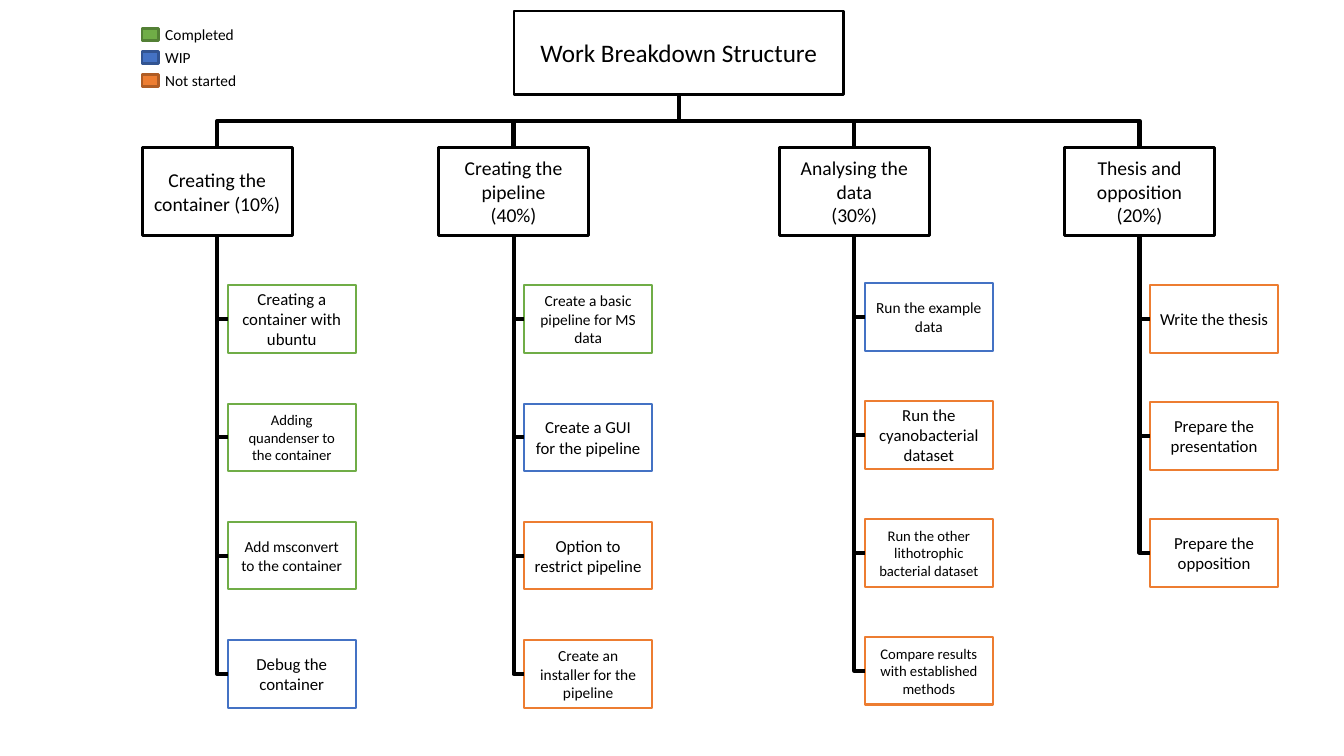
import pptx
import pptx.dml.color
import pptx.enum.shapes
import pptx.enum.text
import pptx.oxml
import pptx.util

GREEN, BLUE, ORANGE = "70AD47", "4472C4", "ED7D31"
BLACK, WHITE = "000000", "FFFFFF"

LEGEND = [("Completed", GREEN, "538035"), ("WIP", BLUE, "325491"), ("Not started", ORANGE, "AF5C24")]

STAGES = [
    ("Creating the container (10%)", 14.1, 28.3, 11.74, [
        ("Creating a container with ubuntu", GREEN, 12),
        ("Adding quandenser to the container", GREEN, 10.5),
        ("Add msconvert to the container", GREEN, 11),
        ("Debug the container", BLUE, 12)]),
    ("Creating the pipeline\n(40%)", 43.5, 28.3, 11.74, [
        ("Create a basic pipeline for MS data", GREEN, 11),
        ("Create a GUI for the pipeline", BLUE, 12),
        ("Option to restrict pipeline", ORANGE, 12),
        ("Create an installer for the pipeline", ORANGE, 11)]),
    ("Analysing the data\n(30%)", 77.3, 28.1, 11.7, [
        ("Run the example data", BLUE, 11),
        ("Run the cyanobacterial dataset", ORANGE, 12),
        ("Run the other lithotrophic bacterial dataset", ORANGE, 10.5),
        ("Compare results with established methods", ORANGE, 10.5)]),
    ("Thesis and opposition\n(20%)", 105.6, 28.3, 11.6, [
        ("Write the thesis", ORANGE, 12),
        ("Prepare the presentation", ORANGE, 12),
        ("Prepare the opposition", ORANGE, 12)]),
]


def rgb(value):
    return pptx.dml.color.RGBColor.from_string(value)


def assign(target, values):
    for name, value in values.items():
        setattr(target, name, value)


class Board:
    font = "Calibri"
    cell = pptx.util.Inches(0.1)
    columns, rows = 133.33, 75

    def __init__(self, prs):
        assign(prs, {"slide_width": self.grid(self.columns), "slide_height": self.grid(self.rows)})
        self.s = prs.slides.add_slide(prs.slide_layouts[6])

    def grid(self, cells):
        return pptx.util.Emu(round(cells * self.cell))

    def set_text(self, sp, text, size, align, anchor):
        tf = sp.text_frame
        tf.text = text
        assign(tf, {"word_wrap": True, "vertical_anchor": anchor})
        for p in tf.paragraphs:
            p.alignment = align
            for r in p.runs:
                assign(r.font, {"name": self.font, "size": pptx.util.Pt(size)})
                r.font.color.rgb = rgb(BLACK)

    def box(self, col, row, width, height, line, weight, fill=WHITE, text="", size=12):
        sp = self.s.shapes.add_shape(
            pptx.enum.shapes.MSO_SHAPE.RECTANGLE, *map(self.grid, (col, row, width, height)))
        sp.shadow.inherit = False
        sp.fill.solid()
        sp.fill.fore_color.rgb = rgb(fill)
        sp.line.color.rgb = rgb(line)
        sp.line.width = pptx.util.Pt(weight)
        if text:
            self.set_text(sp, text, size, pptx.enum.text.PP_ALIGN.CENTER,
                          pptx.enum.text.MSO_ANCHOR.MIDDLE)
        return sp

    def label(self, col, row, width, height, text, size):
        sp = self.s.shapes.add_textbox(*map(self.grid, (col, row, width, height)))
        self.set_text(sp, text, size, pptx.enum.text.PP_ALIGN.LEFT, pptx.enum.text.MSO_ANCHOR.TOP)

    def elbow(self, parent, child, side, preset):
        x1, y1 = parent.left + parent.width // 2, parent.top + parent.height
        if side == 0:
            x2, y2 = child.left + child.width // 2, child.top
        else:
            x2, y2 = child.left, child.top + child.height // 2
        cx = self.s.shapes.add_connector(
            pptx.enum.shapes.MSO_CONNECTOR.ELBOW, x1, y1, x2, y2)
        cx.begin_connect(parent, 2)
        cx.end_connect(child, side)
        run, rise = abs(x2 - x1), y2 - y1
        assign(cx, {"left": (x1 + x2 - rise) // 2, "top": (y1 + y2 - run) // 2,
                    "width": rise, "height": run})
        rightward = x2 > x1
        props = cx._element.spPr
        turn = {"rot": "16200000" if rightward else "5400000",
                "flipH": "1" if rightward else "0", "flipV": "0"}
        for name, value in turn.items():
            props.xfrm.set(name, value)
        props.prstGeom.set("prst", preset)
        cx.line.color.rgb = rgb(BLACK)
        cx.line.width = pptx.util.Pt(3)
        props.append(pptx.oxml.parse_xml(
            '<a:effectLst xmlns:a="http://schemas.openxmlformats.org/drawingml/2006/main"/>'))


def main():
    prs = pptx.Presentation()
    board = Board(prs)
    root = board.box(51, 1.1, 32.7, 8.3, BLACK, 2, text="Work Breakdown Structure", size=18)

    for title, col, first_row, pitch, tasks in STAGES:
        stage = board.box(col, 14.6, 14.9, 8.8, BLACK, 2, text=title, size=14)
        board.elbow(root, stage, 0, "bentConnector3")
        for i, (text, status, size) in enumerate(tasks):
            task = board.box(col + 8.5, first_row + i * pitch, 12.7, 6.7, status, 1.5,
                             text=text, size=size)
            board.elbow(stage, task, 1, "bentConnector2")

    for i, (text, fill, line) in enumerate(LEGEND):
        row = 2 + i * 2.3
        board.box(14.1, row + 0.8, 1.6, 1.2, line, 2, fill=fill)
        board.label(15.4, row, 12.6, 2.8, text, 11)

    prs.save("out.pptx")


if __name__ == "__main__":
    main()
